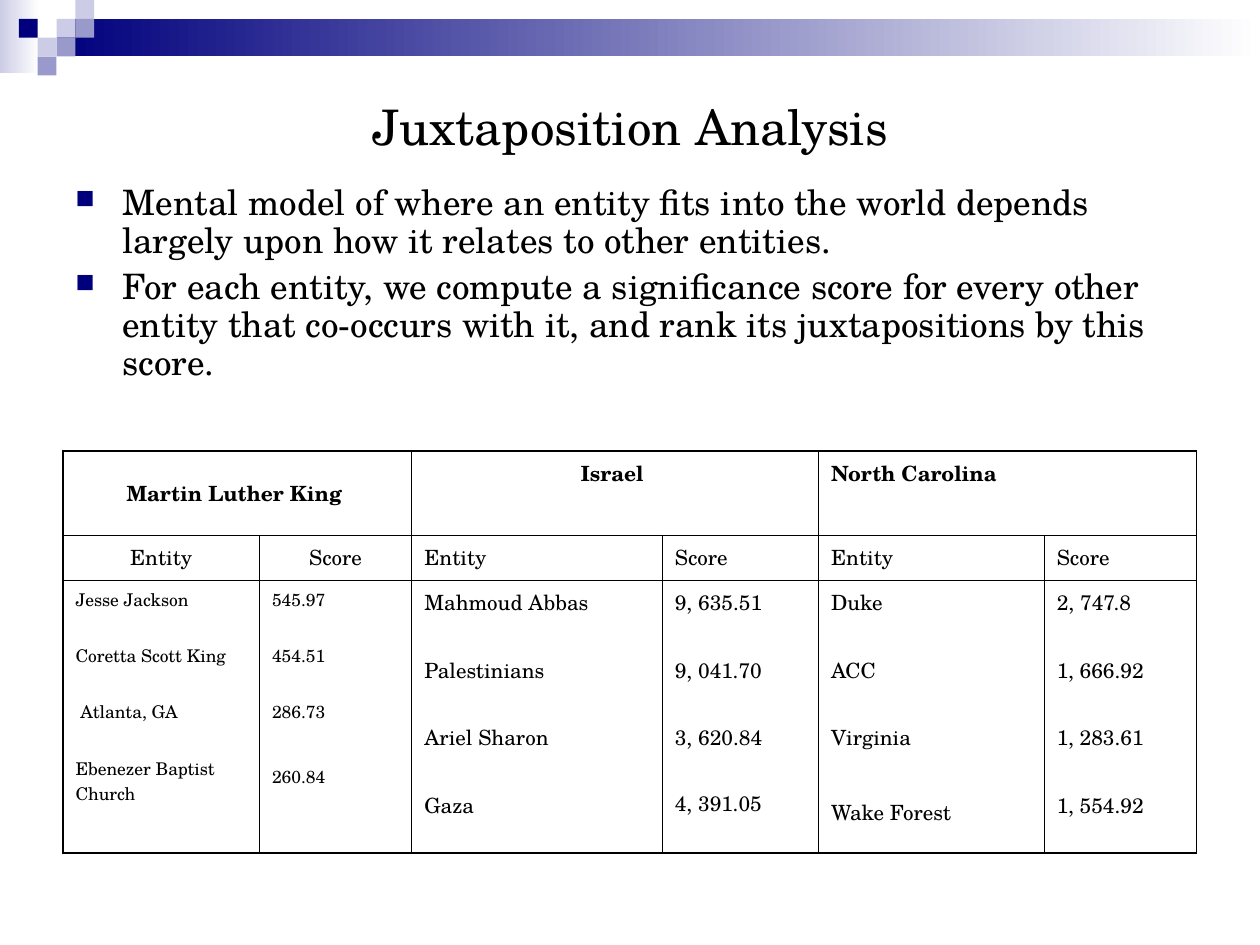
from dataclasses import dataclass

from lxml.etree import SubElement
from pptx import Presentation
from pptx.dml.color import RGBColor
from pptx.enum.shapes import MSO_SHAPE as Shape
from pptx.enum.text import MSO_ANCHOR as Anchor, PP_ALIGN as Align
from pptx.oxml.ns import qn
from pptx.util import Cm, Pt

BLACK = RGBColor(0x00, 0x00, 0x00)
WHITE = RGBColor(0xFF, 0xFF, 0xFF)
NAVY = RGBColor(0x00, 0x00, 0x7D)
LAVENDER = RGBColor(0xCC, 0xCC, 0xE6)
PERIWINKLE = RGBColor(0x99, 0x99, 0xCC)

SQUARE = 0.38
SQUARES = [
    (3, 1, LAVENDER), (4, 0, LAVENDER), (4, 1, PERIWINKLE), (2, 2, LAVENDER),
    (1, 1, NAVY), (3, 2, PERIWINKLE), (2, 3, PERIWINKLE),
]
BULLETS = [
    "Mental model of where an entity fits into the world depends largely upon "
    "how it relates to other entities.",
    "For each entity, we compute a significance score for every other entity "
    "that co-occurs with it, and rank its juxtapositions by this score.",
]
COLUMN_WIDTHS = [3.96, 3.07, 5.05, 3.15, 4.55, 3.07]
ROW_HEIGHTS = [1.7, 0.91, 5.49]
GROUPS = [
    ("Martin Luther King ", Align.CENTER, Anchor.MIDDLE),
    ("Israel ", Align.CENTER, Anchor.TOP),
    ("North Carolina", Align.LEFT, Anchor.TOP),
]
ENTRIES = [
    (["Jesse Jackson", "Coretta Scott King", " Atlanta, GA", "Ebenezer Baptist Church"], 10, 17.5),
    (["545.97", "454.51", "286.73", "260.84"], 10, 22),
    (["Mahmoud Abbas", "Palestinians", "Ariel Sharon", "Gaza"], 12, 21),
    (["9, 635.51", "9, 041.70", "3, 620.84", "4, 391.05"], 12, 20),
    (["Duke", "ACC", "Virginia", "Wake Forest"], 12, 25),
    (["2, 747.8", "1, 666.92", "1, 283.61", "1, 554.92"], 12, 21),
]
ENTRY_GAPS = {10: 17.5, 12: 21}


@dataclass
class SlideBuilder:
    slide: object
    font_name: str = "TeX Gyre Schola"
    thin: float = 0.45
    thick: float = 1.08

    def rectangle(self, left, top, width, height, *colors):
        shape = self.slide.shapes.add_shape(
            Shape.RECTANGLE, Cm(left), Cm(top), Cm(width), Cm(height))
        shape.shadow.inherit = False
        shape.line.fill.background()
        if len(colors) == 1:
            shape.fill.solid()
            shape.fill.fore_color.rgb = colors[0]
            return
        shape.fill.gradient()
        shape.fill.gradient_angle = 0
        for stop, color in zip(shape.fill.gradient_stops, colors):
            stop.color.rgb = color

    def set_lines(self, text_frame, lines, size, bold=False, align=Align.LEFT):
        text_frame.word_wrap = True
        text_frame.text = "\n".join(lines)
        for paragraph in text_frame.paragraphs:
            paragraph.alignment = align
            for run in paragraph.runs:
                run.font.name = self.font_name
                run.font.size = Pt(size)
                run.font.bold = bold
                run.font.color.rgb = BLACK
        return text_frame.paragraphs

    def text_box(self, left, top, width, height):
        box = self.slide.shapes.add_textbox(Cm(left), Cm(top), Cm(width), Cm(height))
        return box.text_frame

    def title(self, text):
        text_frame = self.text_box(1.27, 1.27, 22.86, 2.54)
        text_frame.vertical_anchor = Anchor.MIDDLE
        self.set_lines(text_frame, [text], 28, align=Align.CENTER)

    def bullet_list(self, lines):
        text_frame = self.text_box(1.27, 3.61, 22.86, 7.09)
        paragraphs = self.set_lines(text_frame, lines, 20)
        for index, paragraph in enumerate(paragraphs):
            paragraph.line_spacing = 0.9
            paragraph.space_before = Pt(5 if index else 0)
            properties = paragraph._p.get_or_add_pPr()
            properties.set("marL", str(Cm(0.95)))
            properties.set("indent", str(-Cm(0.95)))
            color = SubElement(properties, qn("a:buClr"))
            SubElement(color, qn("a:srgbClr"), val=str(NAVY))
            SubElement(properties, qn("a:buSzPct"), val="75000")
            SubElement(properties, qn("a:buChar"), char="■")

    def borders(self, cell, widths):
        properties = cell._tc.get_or_add_tcPr()
        for side, width in widths.items():
            line = SubElement(properties, qn(f"a:ln{side}"), w=str(Pt(width)))
            fill = SubElement(line, qn("a:solidFill"))
            SubElement(fill, qn("a:srgbClr"), val=str(BLACK))
        cell.fill.background()

    def border_widths(self, cell, row, column):
        last_column = column + 1 if cell.is_merge_origin else column
        outer = {
            "L": column == 0,
            "R": last_column == len(COLUMN_WIDTHS) - 1,
            "T": row == 0,
            "B": row == len(ROW_HEIGHTS) - 1,
        }
        if cell.is_spanned:
            del outer["L"]
        return {side: self.thick if edge else self.thin for side, edge in outer.items()}

    def table(self):
        frame = self.slide.shapes.add_table(
            len(ROW_HEIGHTS), len(COLUMN_WIDTHS), Cm(1.27), Cm(9.09),
            Cm(sum(COLUMN_WIDTHS)), Cm(sum(ROW_HEIGHTS)))
        table = frame.table
        table.first_row = False
        table.horz_banding = False
        for column, width in zip(table.columns, COLUMN_WIDTHS):
            column.width = Cm(width)
        for row, height in zip(table.rows, ROW_HEIGHTS):
            row.height = Cm(height)

        for index, (name, align, anchor) in enumerate(GROUPS):
            cell = table.cell(0, 2 * index)
            cell.merge(table.cell(0, 2 * index + 1))
            cell.vertical_anchor = anchor
            self.set_lines(cell.text_frame, [name], 12, True, align)

        for index, (lines, size, last_gap) in enumerate(ENTRIES):
            heading = "Score" if index % 2 else "Entity"
            align = Align.CENTER if index < 2 else Align.LEFT
            self.set_lines(table.cell(1, index).text_frame, [heading], 12, align=align)
            paragraphs = self.set_lines(table.cell(2, index).text_frame, lines, size)
            for paragraph in paragraphs[1:]:
                paragraph.space_before = Pt(ENTRY_GAPS[size])
            paragraphs[-1].space_before = Pt(last_gap)

        for row in range(len(ROW_HEIGHTS)):
            for column in range(len(COLUMN_WIDTHS)):
                cell = table.cell(row, column)
                self.borders(cell, self.border_widths(cell, row, column))


def main():
    presentation = Presentation()
    presentation.slide_width = Cm(25.4)
    presentation.slide_height = Cm(19.05)
    builder = SlideBuilder(presentation.slides.add_slide(presentation.slide_layouts[6]))
    builder.rectangle(0, 0, 0.79, 1.47, LAVENDER, WHITE)
    builder.rectangle(3 * SQUARE, SQUARE, 24.26, 2 * SQUARE, NAVY, WHITE)
    for column, row, color in SQUARES:
        builder.rectangle(column * SQUARE, row * SQUARE, SQUARE, SQUARE, color)
    builder.title("Juxtaposition Analysis")
    builder.bullet_list(BULLETS)
    builder.table()
    presentation.save("out.pptx")


if __name__ == "__main__":
    main()
